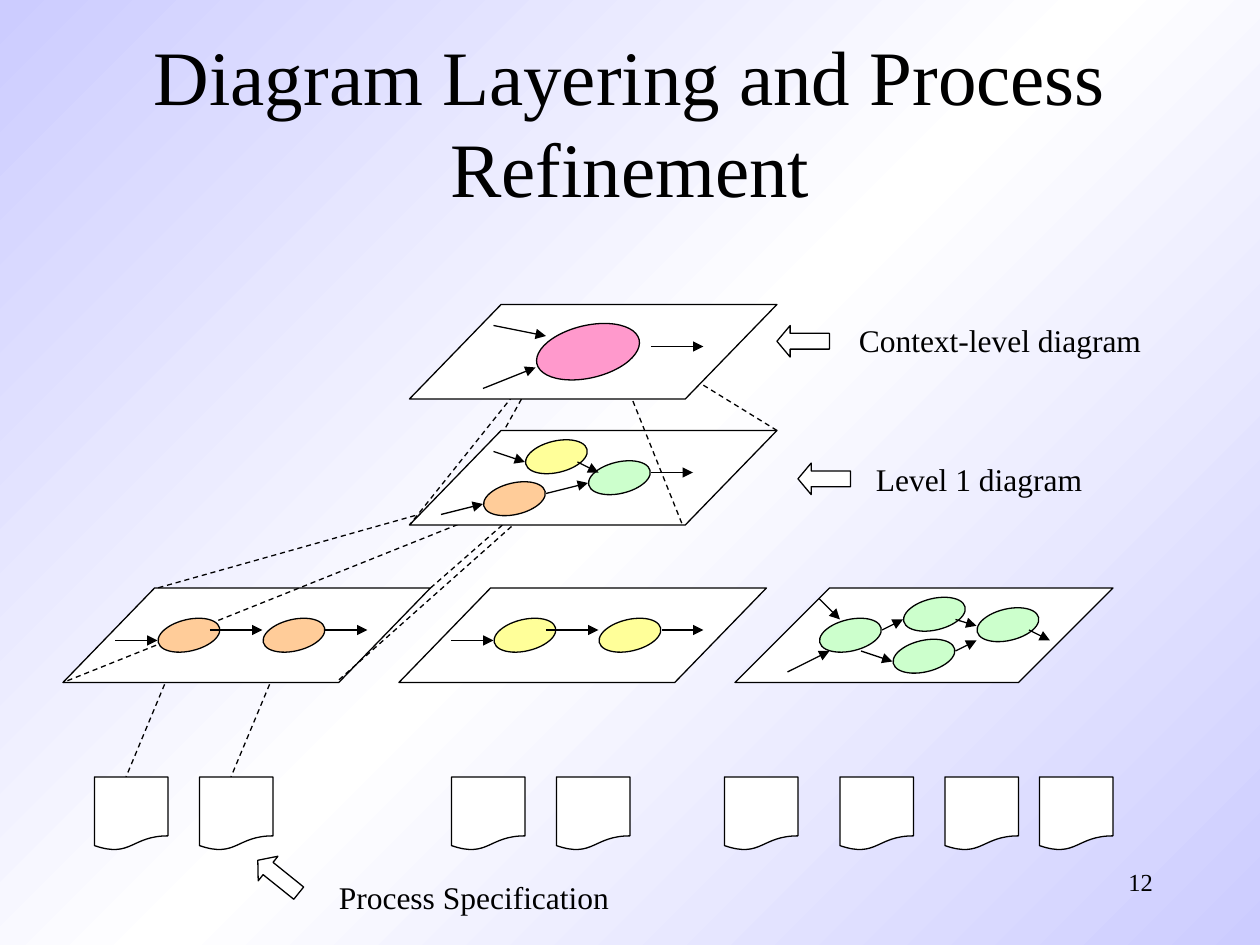
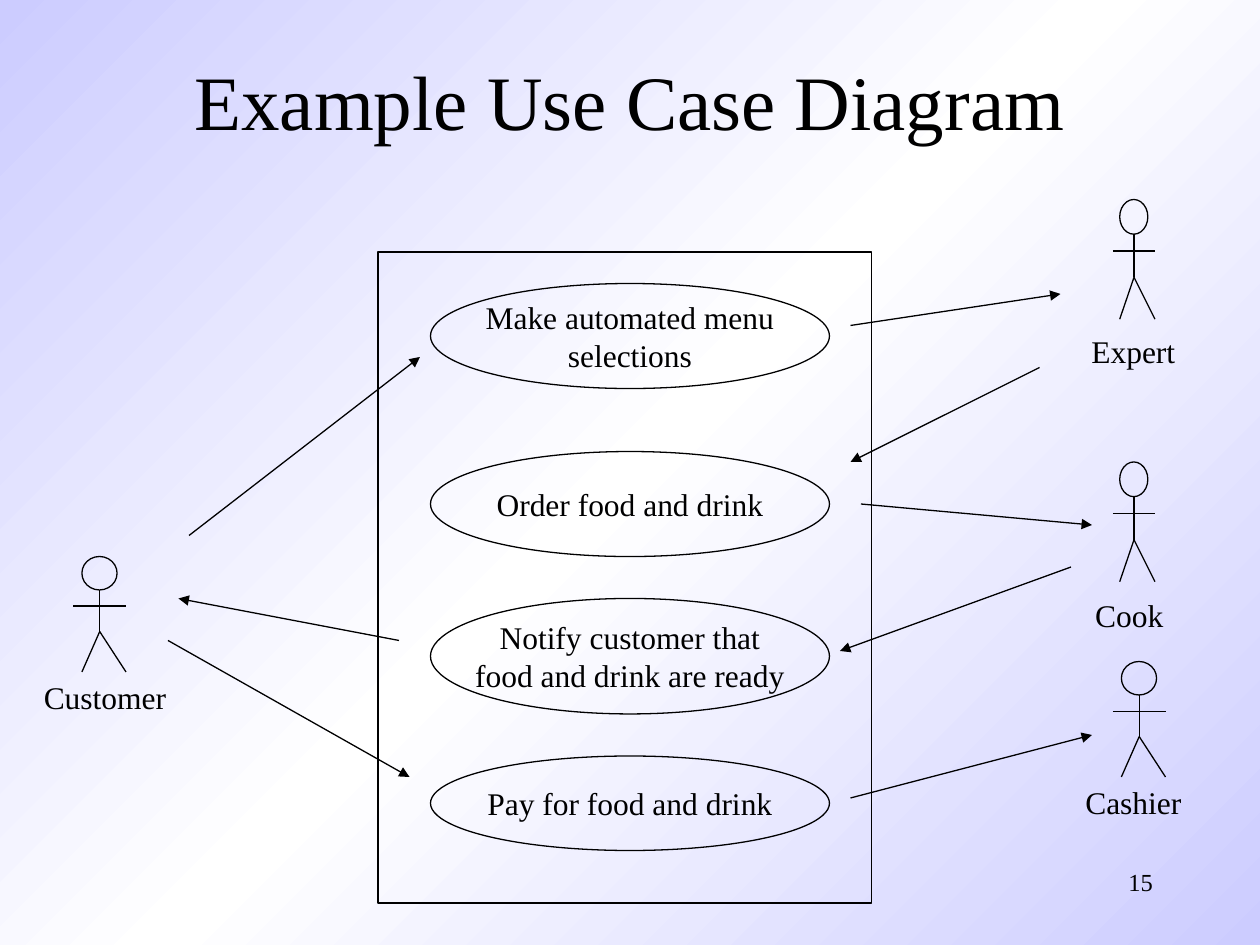
import pptx
import pptx.dml.color
import pptx.enum.dml
import pptx.enum.shapes
import pptx.enum.text
import pptx.oxml.ns
import pptx.util
from lxml import etree

RGBColor = pptx.dml.color.RGBColor
SHAPE = pptx.enum.shapes.MSO_SHAPE
ALIGN = pptx.enum.text.PP_ALIGN
ANCHOR = pptx.enum.text.MSO_ANCHOR
Cm = pptx.util.Cm
qn = pptx.oxml.ns.qn

BLACK = RGBColor(0x00, 0x00, 0x00)
WHITE = RGBColor(0xFF, 0xFF, 0xFF)
LAVENDER = RGBColor(0xCC, 0xCC, 0xFF)
PINK = RGBColor(0xFF, 0x99, 0xCC)
ORANGE = RGBColor(0xFF, 0xCC, 0x99)
YELLOW = RGBColor(0xFF, 0xFF, 0x99)
GREEN = RGBColor(0xCC, 0xFF, 0xCC)

FONT = "Times New Roman"
GRID = 2.54 / 12  # one grid step in cm; all positions below count grid steps
TILT = -13.3


def grid(*steps):
    return [Cm(step * GRID) for step in steps]


class Deck:
    """Holds the shared style and the slide being drawn."""

    def __init__(self):
        self.prs = pptx.Presentation()
        self.prs.slide_width, self.prs.slide_height = grid(120, 90)
        self.s = None
        self.gradient_background()

    def gradient_background(self):
        master = self.prs.slide_master
        fill = master.background.fill
        fill.gradient()
        fill.gradient_angle = 315
        stops = master.element.find(".//" + qn("a:gsLst"))
        stops.clear()
        for pos, color in ((0, LAVENDER), (50, WHITE), (100, LAVENDER)):
            stop = etree.SubElement(stops, qn("a:gs"), pos=str(pos * 1000))
            etree.SubElement(stop, qn("a:srgbClr"), val=str(color))

    def add_slide(self, title, top, number):
        self.s = self.prs.slides.add_slide(self.prs.slide_layouts[5])
        sp = self.s.shapes.title
        sp.left, sp.top, sp.width, sp.height = grid(9, top, 102, 15)
        self.set_text(sp, title, 44, wrap=True)
        self.label(number, 86, 82, 25, 6, size=14, align=ALIGN.RIGHT)

    def set_text(self, sp, text, size=18, align=ALIGN.CENTER, wrap=False,
                 anchor=ANCHOR.MIDDLE):
        tf = sp.text_frame
        tf.text = text
        tf.word_wrap = wrap
        tf.auto_size = pptx.enum.text.MSO_AUTO_SIZE.NONE
        tf.vertical_anchor = anchor
        for p in tf.paragraphs:
            p.alignment = align
            for r in p.runs:
                r.font.name = FONT
                r.font.size = pptx.util.Pt(size)
                r.font.color.rgb = BLACK

    def label(self, text, x, y, w, h=4.8, size=18, align=ALIGN.CENTER):
        sp = self.s.shapes.add_textbox(*grid(x, y, w, h))
        wrap = align == ALIGN.RIGHT
        self.set_text(sp, text, size, align, wrap, ANCHOR.TOP)

    def shape(self, kind, x, y, w, h, fill=None, rotation=0, adjust=(),
              parent=None):
        sp = (parent or self.s).shapes.add_shape(kind, *grid(x, y, w, h))
        sp.shadow.inherit = False
        sp.rotation = rotation
        for i, value in enumerate(adjust):
            sp.adjustments[i] = value
        if fill is None:
            sp.fill.background()
        else:
            sp.fill.solid()
            sp.fill.fore_color.rgb = fill
        self.outline(sp.line)
        return sp

    def outline(self, line):
        line.color.rgb = BLACK
        line.width = pptx.util.Pt(0.75)

    def line(self, x1, y1, x2, y2, dashed=False, arrow=False, parent=None):
        straight = pptx.enum.shapes.MSO_CONNECTOR.STRAIGHT
        c = (parent or self.s).shapes.add_connector(
            straight, *grid(x1, y1, x2, y2))
        self.outline(c.line)
        if dashed:
            c.line.dash_style = pptx.enum.dml.MSO_LINE.DASH
        props = c.element.spPr
        if arrow:
            etree.SubElement(props.find(qn("a:ln")), qn("a:tailEnd"),
                             type="triangle")
        etree.SubElement(props, qn("a:effectLst"))

    def dashes(self, *ends):
        for end in ends:
            self.line(*end, dashed=True)

    def arrows(self, *ends):
        for end in ends:
            self.line(*end, arrow=True)

    # Parts of the layering diagram
    def plane(self, x, y, w=35, slant=0.97):
        self.shape(SHAPE.PARALLELOGRAM, x, y, w, 9, WHITE, adjust=[slant])

    def process(self, x, y, fill, w=6, h=3):
        self.shape(SHAPE.OVAL, x, y, w, h, fill, TILT)

    def pointer(self, x, y, rotation=0):
        self.shape(SHAPE.LEFT_ARROW, x, y, 5, 3, WHITE, rotation, (0.5, 0.42))

    # Parts of the use case diagram
    def use_case(self, text, y, h):
        self.set_text(self.shape(SHAPE.OVAL, 41, y, 38, h), text)

    def actor(self, x, y, w, h):
        g = self.s.shapes.add_group_shape()
        left, middle, right = x + 0.16 * w, x + 0.5 * w, x + w
        neck, arms, hip, feet = (y + part * h for part in (0.29, 0.43, 0.65, 1))
        self.shape(SHAPE.OVAL, left, y, 0.67 * w, neck - y, parent=g)
        for end in ((middle, neck, middle, hip), (middle, hip, left, feet),
                    (middle, hip, right, feet), (x, arms, right, arms)):
            self.line(*end, parent=g)


def layering_slide(deck):
    deck.add_slide("Diagram Layering and Process Refinement", 4, "12")

    # Planes and the dashed lines that link the levels, from back to front
    deck.dashes((17, 62, 12, 74), (27, 62, 22, 74))
    deck.plane(6, 56)
    deck.dashes((41, 56, 49, 49), (50, 49, 32, 65),
                (47, 47, 15, 56), (46, 49, 6, 65))
    deck.plane(39, 41)
    deck.dashes((59, 35, 65, 50), (51, 35, 39, 50),
                (74, 41, 61, 33), (53, 32, 48, 41))
    deck.plane(39, 29)
    deck.plane(38, 56)
    deck.plane(70, 56, 36, 1)

    # Context level
    deck.process(51, 31, PINK, 10, 5)
    deck.arrows((47, 31, 52, 32), (46, 37, 51, 35), (62, 33, 67, 33))

    # Level 1
    for x, y, fill in ((46, 46, ORANGE), (50, 42, YELLOW), (56, 44, GREEN)):
        deck.process(x, y, fill)
    deck.arrows((47, 43, 50, 44), (42, 49, 46, 48), (62, 45, 66, 45),
                (52, 47, 56, 46), (55, 44, 57, 45))

    # Two refinements with the same flow
    for x, fill in ((15, ORANGE), (47, YELLOW)):
        deck.process(x, 59, fill)
        deck.process(x + 10, 59, fill)
        deck.arrows((x - 4, 61, x, 61), (x + 5, 60, x + 10, 60),
                    (x + 16, 60, x + 20, 60))

    # Third refinement
    for x, y in ((78, 59), (86, 57), (85, 61), (93, 58)):
        deck.process(x, y, GREEN)
    deck.arrows((75, 64, 79, 62), (84, 60, 86, 59), (78, 57, 80, 59),
                (82, 62, 85, 63), (91, 62, 93, 61), (91, 59, 93, 59.6),
                (98, 60, 100, 61))

    # Process specifications
    for x in (9, 19, 43, 53, 69, 80, 90, 99):
        deck.shape(SHAPE.FLOWCHART_DOCUMENT, x, 74, 7, 7, WHITE)

    # Labels and their pointers
    deck.label("Context-level diagram", 80.6, 30, 29.3)
    deck.pointer(74, 31)
    deck.label("Level 1 diagram", 82.2, 43.2, 22.1)
    deck.pointer(76, 44.1)
    deck.label("Process Specification", 31.1, 83, 28.1)
    deck.pointer(24, 82, 38.8)


def use_case_slide(deck):
    deck.add_slide("Example Use Case Diagram", 2, "15")

    # System boundary and use cases
    deck.shape(SHAPE.RECTANGLE, 36, 24, 47, 62)
    deck.use_case("Make automated menu\nselections", 27, 10)
    deck.use_case("Order food and drink", 43, 10)
    deck.use_case("Notify customer that\nfood and drink are ready", 57, 11)
    deck.use_case("Pay for food and drink", 72, 9)

    # Actors
    deck.actor(7, 53, 5, 11)
    deck.label("Customer", 3, 64, 14)
    deck.actor(106, 19, 4, 11.4)
    deck.label("Expert", 102.8, 31, 10.3)
    deck.actor(106, 44, 4, 11.4)
    deck.label("Cook", 103.1, 56.2, 8.9)
    deck.actor(106, 63, 5, 11)
    deck.label("Cashier", 102.2, 74, 11.5)

    # Interactions
    deck.arrows((18, 51, 40, 34), (38, 61, 17, 57), (16, 61, 39, 74),
                (81, 31, 101, 28), (99, 35, 81, 44), (82, 48, 104, 50),
                (102, 54, 80, 62), (81, 76, 104, 70))


def main():
    deck = Deck()
    layering_slide(deck)
    use_case_slide(deck)
    deck.prs.save("out.pptx")


if __name__ == "__main__":
    main()
